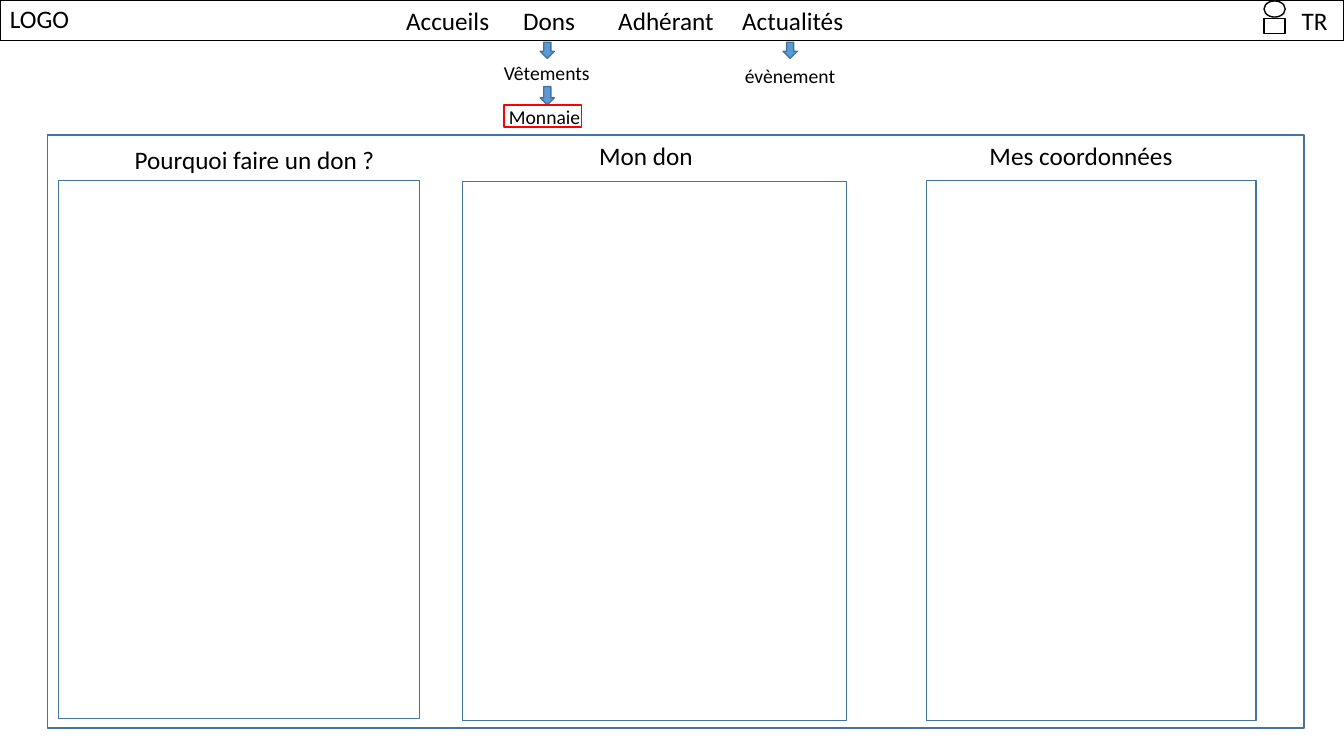
import pptx
import pptx.dml.color
import pptx.enum.shapes
import pptx.enum.text
import pptx.oxml
import pptx.oxml.ns
import pptx.util
from dataclasses import dataclass

Pt = pptx.util.Pt
Kind = pptx.enum.shapes.MSO_SHAPE
Align = pptx.enum.text.PP_ALIGN


@dataclass(frozen=True)
class Theme:
    font: str = "Calibri"
    title_size: int = 18
    entry_size: int = 14
    black: str = "000000"
    white: str = "FFFFFF"
    blue: str = "5B9BD5"
    dark_blue: str = "43739E"
    red: str = "FF0000"


theme = Theme()
presentation = pptx.Presentation()
presentation.slide_width = Pt(960)
presentation.slide_height = Pt(540)
slide = presentation.slides.add_slide(presentation.slide_layouts[6])


def add_outline(kind, left, top, width, height, line, fill=None):
    shape = slide.shapes.add_shape(kind, Pt(left), Pt(top), Pt(width), Pt(height))
    shape.shadow.inherit = False
    if fill:
        shape.fill.solid()
        shape.fill.fore_color.rgb = pptx.dml.color.RGBColor.from_string(fill)
    else:
        shape.fill.background()
    shape.line.color.rgb = pptx.dml.color.RGBColor.from_string(line)
    shape.line.width = Pt(1)


def add_label(text, left, top, width, size=theme.title_size, align=Align.LEFT):
    height = 28.8 if size == theme.title_size else 24.2
    shape = slide.shapes.add_textbox(Pt(left), Pt(top), Pt(width), Pt(height))
    shape.text_frame.word_wrap = True
    paragraph = shape.text_frame.paragraphs[0]
    paragraph.alignment = align
    run = paragraph.add_run()
    run.text = text
    run.font.name = theme.font
    run.font.size = Pt(size)
    run.font.color.rgb = pptx.dml.color.RGBColor.from_string(theme.black)
    return paragraph


# Header bar with the user icon
add_outline(Kind.RECTANGLE, 0, 0, 960, 28.8, theme.black)
add_outline(Kind.OVAL, 902.9, 0.7, 15.1, 11.5, theme.black, theme.white)
add_outline(Kind.RECTANGLE, 902.9, 13, 15.1, 10.8, theme.black, theme.white)
add_label("LOGO", 0, -1.4, 67.7)
add_label("TR", 918, 0, 42, align=Align.CENTER)

# Menu, spaced with tab stops
menu = add_label("Accueils\tDons\tAdhérant\tActualités", 283, 0, 330.5)
tab_list = pptx.oxml.parse_xml(f"<a:tabLst {pptx.oxml.ns.nsdecls('a')}/>")
for stop in (83.5, 151.5, 240):
    tab = pptx.oxml.parse_xml(f"<a:tab {pptx.oxml.ns.nsdecls('a')}/>")
    tab.set("pos", str(Pt(stop)))
    tab.set("algn", "l")
    tab_list.append(tab)
menu._p.get_or_add_pPr().append(tab_list)

# Submenu arrows and entries
for left, top, height in ((385.9, 30.2, 11.5), (559.4, 30.2, 11.5), (385.9, 61.9, 13)):
    add_outline(Kind.DOWN_ARROW, left, top, 10.1, height, theme.dark_blue, theme.blue)
for text, left, top, width in (
    ("Vêtements", 352.8, 40.3, 95),
    ("Monnaie", 356.4, 71.3, 87.1),
    ("évènement", 524.9, 41.8, 80.6),
):
    add_label(text, left, top, width, theme.entry_size)
add_outline(Kind.RECTANGLE, 360, 74.9, 55.4, 15.8, theme.red)

# Main frame with three titled panels: title box, then panel box
add_outline(Kind.RECTANGLE, 33.8, 96.5, 897.8, 423.4, theme.dark_blue)
for title, title_box, panel_box in (
    ("Pourquoi faire un don ?", (72.7, 99.4, 218.2), (41.8, 128.9, 257.8, 384.5)),
    ("Mon don", (312, 96.5, 298.8), (330.5, 129.6, 274.3, 385.2)),
    ("Mes coordonnées", (654.5, 96.5, 235.4), (661.7, 128.9, 235.4, 385.9)),
):
    add_outline(Kind.RECTANGLE, *panel_box, theme.dark_blue)
    add_label(title, *title_box, align=Align.CENTER)

presentation.save("out.pptx")
